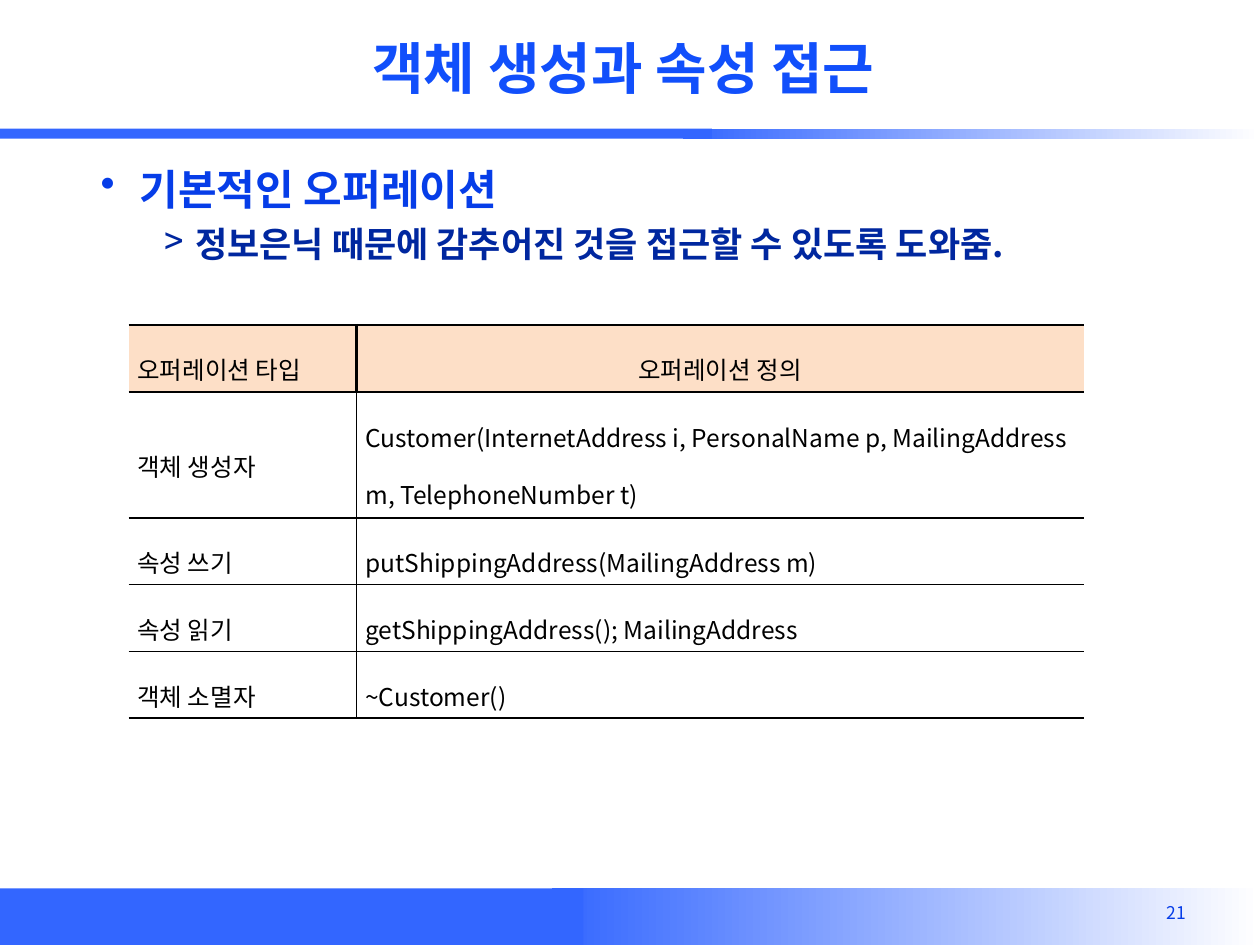
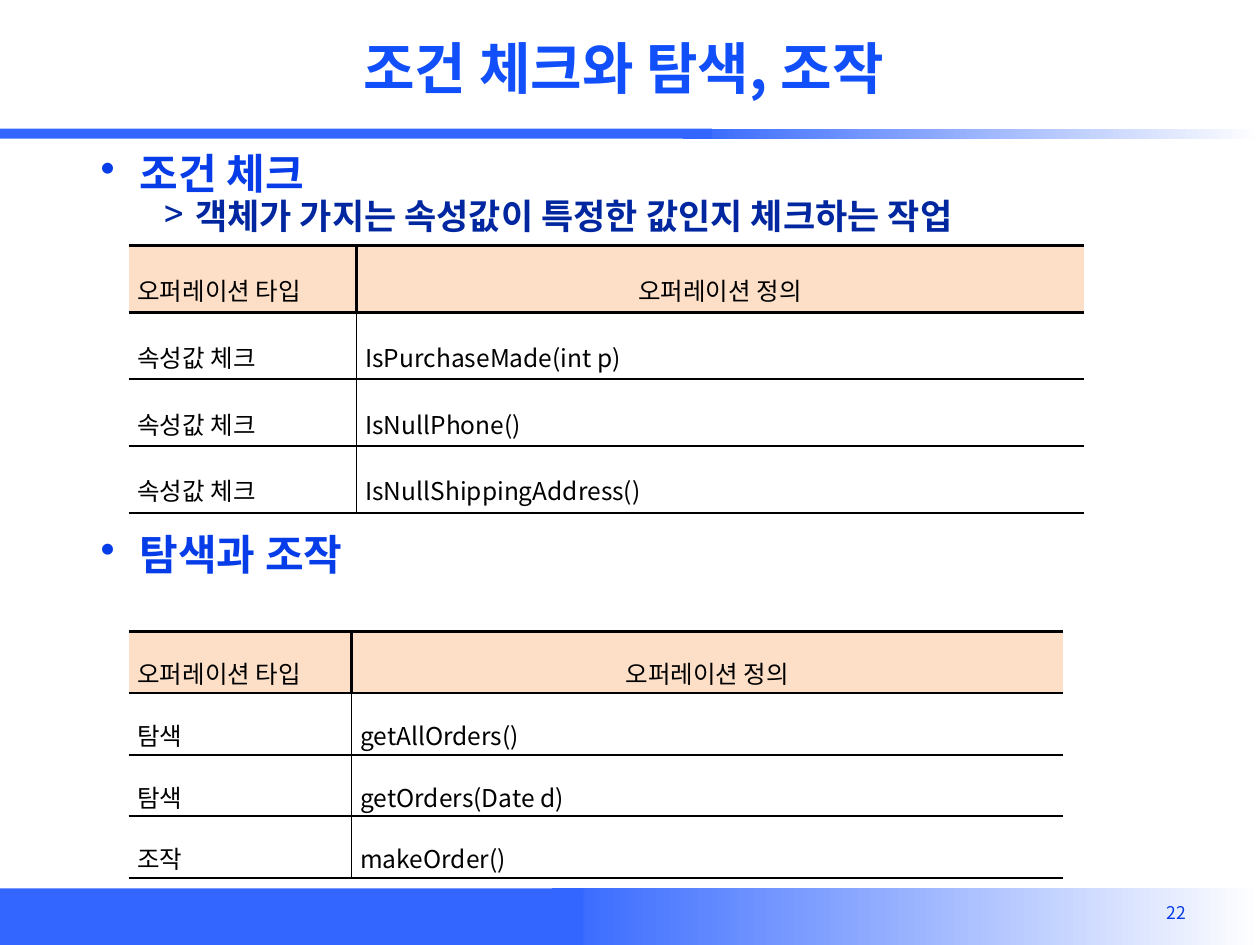
import dataclasses

import lxml.etree
import pptx
import pptx.dml.color
import pptx.enum.shapes
import pptx.enum.text
import pptx.oxml.ns
import pptx.util

Inches = pptx.util.Inches
Pt = pptx.util.Pt
Align = pptx.enum.text.PP_ALIGN
Middle = pptx.enum.text.MSO_ANCHOR.MIDDLE
qn = pptx.oxml.ns.qn


@dataclasses.dataclass(frozen=True)
class Theme:
    font: str = "Noto Sans CJK KR"
    band: str = "3366FF"
    white: str = "FFFFFF"
    title: str = "114FFB"
    heading: str = "063DE8"
    detail: str = "00279F"
    ink: str = "000000"
    header_fill: str = "FDDFC7"
    title_size: int = 32
    heading_size: int = 24
    detail_size: int = 20
    table_size: int = 14
    number_size: int = 10
    thick: float = 1.7
    thin: float = 1.13


theme = Theme()


def add_run(paragraph, text, size, color, bold=False):
    run = paragraph.add_run()
    run.text = text
    run.font.size = Pt(size)
    run.font.bold = bold
    run.font.color.rgb = pptx.dml.color.RGBColor.from_string(color)
    run.font.name = theme.font
    lxml.etree.SubElement(run.font._element, qn("a:ea"), typeface=theme.font)


def add_border(cell, side, width):
    line = lxml.etree.SubElement(cell._tc.get_or_add_tcPr(), qn("a:ln" + side))
    if width:
        line.set("w", str(Pt(width)))
        fill = lxml.etree.SubElement(line, qn("a:solidFill"))
        lxml.etree.SubElement(fill, qn("a:srgbClr"), val=theme.ink)
    else:
        lxml.etree.SubElement(line, qn("a:noFill"))


bands = [
    (4.38, 7.05, 5.62, 0.45, True),
    (0, 7.05, 4.63, 0.45, False),
    (5.42, 1.02, 4.58, 0.08, True),
    (0, 1.02, 5.65, 0.08, False),
]

levels = [
    ("•", 0.31, -0.31, theme.heading_size, theme.heading),
    (">", 0.75, -0.25, theme.detail_size, theme.detail),
]

table_header = ("오퍼레이션 타입", "오퍼레이션 정의")

slides = [
    {
        "number": 21,
        "title": "객체 생성과 속성 접근",
        "line_spacing": 1.2,
        "bullets": [
            (0, "기본적인 오퍼레이션", 0),
            (1, "정보은닉 때문에 감추어진 것을 접근할 수 있도록 도와줌.", 0),
        ],
        "tables": [
            {
                "top": 2.58,
                "columns": (1.81, 5.77),
                "heights": (0.53, 1, 0.53, 0.53, 0.53),
                "rows": [
                    ("객체 생성자", "Customer(InternetAddress i, PersonalName p, "
                     "MailingAddress m, TelephoneNumber t)"),
                    ("속성 쓰기", "putShippingAddress(MailingAddress m)"),
                    ("속성 읽기", "getShippingAddress(); MailingAddress"),
                    ("객체 소멸자", "~Customer()"),
                ],
            },
        ],
    },
    {
        "number": 22,
        "title": "조건 체크와 탐색, 조작",
        "line_spacing": 0.9,
        "bullets": [
            (0, "조건 체크", 0),
            (1, "객체가 가지는 속성값이 특정한 값인지 체크하는 작업", 0),
            (0, "탐색과 조작", 170),
        ],
        "tables": [
            {
                "top": 1.95,
                "columns": (1.81, 5.77),
                "heights": (0.53,) * 4,
                "rows": [
                    ("속성값 체크", "IsPurchaseMade(int p)"),
                    ("속성값 체크", "IsNullPhone()"),
                    ("속성값 체크", "IsNullShippingAddress()"),
                ],
            },
            {
                "top": 5.01,
                "columns": (1.77, 5.65),
                "heights": (0.49,) * 4,
                "rows": [
                    ("탐색", "getAllOrders()"),
                    ("탐색", "getOrders(Date d)"),
                    ("조작", "makeOrder()"),
                ],
            },
        ],
    },
]

presentation = pptx.Presentation()
presentation.slide_width = Inches(10)
presentation.slide_height = Inches(7.5)

for content in slides:
    slide = presentation.slides.add_slide(presentation.slide_layouts[5])

    for left, top, width, height, fades in bands:
        band = slide.shapes.add_shape(
            pptx.enum.shapes.MSO_SHAPE.RECTANGLE,
            Inches(left), Inches(top), Inches(width), Inches(height))
        band.shadow.inherit = False
        band.line.fill.background()
        if fades:
            band.fill.gradient()
            band.fill.gradient_angle = 0
            stops = band.fill.gradient_stops
            for stop, position, color in zip(stops, (0, 1), (theme.band, theme.white)):
                stop.position = position
                stop.color.rgb = pptx.dml.color.RGBColor.from_string(color)
        else:
            band.fill.solid()
            band.fill.fore_color.rgb = pptx.dml.color.RGBColor.from_string(theme.band)

    number = slide.shapes.add_textbox(Inches(8.99), Inches(7.11), Inches(0.52), Inches(0.27))
    paragraph = number.text_frame.paragraphs[0]
    paragraph.alignment = Align.RIGHT
    add_run(paragraph, str(content["number"]), theme.number_size, theme.heading)

    title = slide.shapes.title
    title.left, title.top = Inches(0.7), Inches(0.16)
    title.width, title.height = Inches(8.5), Inches(0.75)
    title.text_frame.vertical_anchor = Middle
    paragraph = title.text_frame.paragraphs[0]
    paragraph.alignment = Align.CENTER
    add_run(paragraph, content["title"], theme.title_size, theme.title, True)

    body = slide.shapes.add_textbox(Inches(0.7), Inches(1.17), Inches(8.55), Inches(5.83))
    body.text_frame.word_wrap = True
    for index, (level, text, space_before) in enumerate(content["bullets"]):
        mark, margin, indent, size, color = levels[level]
        paragraph = body.text_frame.add_paragraph() if index else body.text_frame.paragraphs[0]
        paragraph.level = level
        paragraph.line_spacing = content["line_spacing"]
        paragraph.space_before = Pt(space_before)
        properties = paragraph._p.get_or_add_pPr()
        properties.set("marL", str(Inches(margin)))
        properties.set("indent", str(Inches(indent)))
        lxml.etree.SubElement(properties, qn("a:buChar"), char=mark)
        add_run(paragraph, text, size, color, True)

    for table_content in content["tables"]:
        rows = [table_header] + table_content["rows"]
        columns, heights = table_content["columns"], table_content["heights"]
        table = slide.shapes.add_table(
            len(rows), len(columns), Inches(1.02), Inches(table_content["top"]),
            Inches(sum(columns)), Inches(sum(heights))).table
        table.first_row = False
        table.horz_banding = False
        for column, width in zip(table.columns, columns):
            column.width = Inches(width)
        for row_index, (texts, height) in enumerate(zip(rows, heights)):
            table.rows[row_index].height = Inches(height)
            is_header = row_index == 0
            inner = theme.thick if is_header else theme.thin
            upper = theme.thick if row_index < 2 else theme.thin
            for column_index, text in enumerate(texts):
                cell = table.cell(row_index, column_index)
                cell.vertical_anchor = Middle
                cell.margin_left = cell.margin_right = Inches(0.07)
                cell.margin_top = cell.margin_bottom = Inches(0.02)
                add_border(cell, "L", inner if column_index else 0)
                add_border(cell, "R", 0 if column_index else inner)
                add_border(cell, "T", upper)
                add_border(cell, "B", inner)
                if is_header:
                    cell.fill.solid()
                    cell.fill.fore_color.rgb = pptx.dml.color.RGBColor.from_string(theme.header_fill)
                else:
                    cell.fill.background()
                paragraph = cell.text_frame.paragraphs[0]
                paragraph.line_spacing = 1.6
                paragraph.alignment = Align.JUSTIFY
                if column_index and row_index < 2:
                    paragraph.alignment = Align.CENTER if is_header else Align.LEFT
                add_run(paragraph, text, theme.table_size, theme.ink)

presentation.save("out.pptx")
